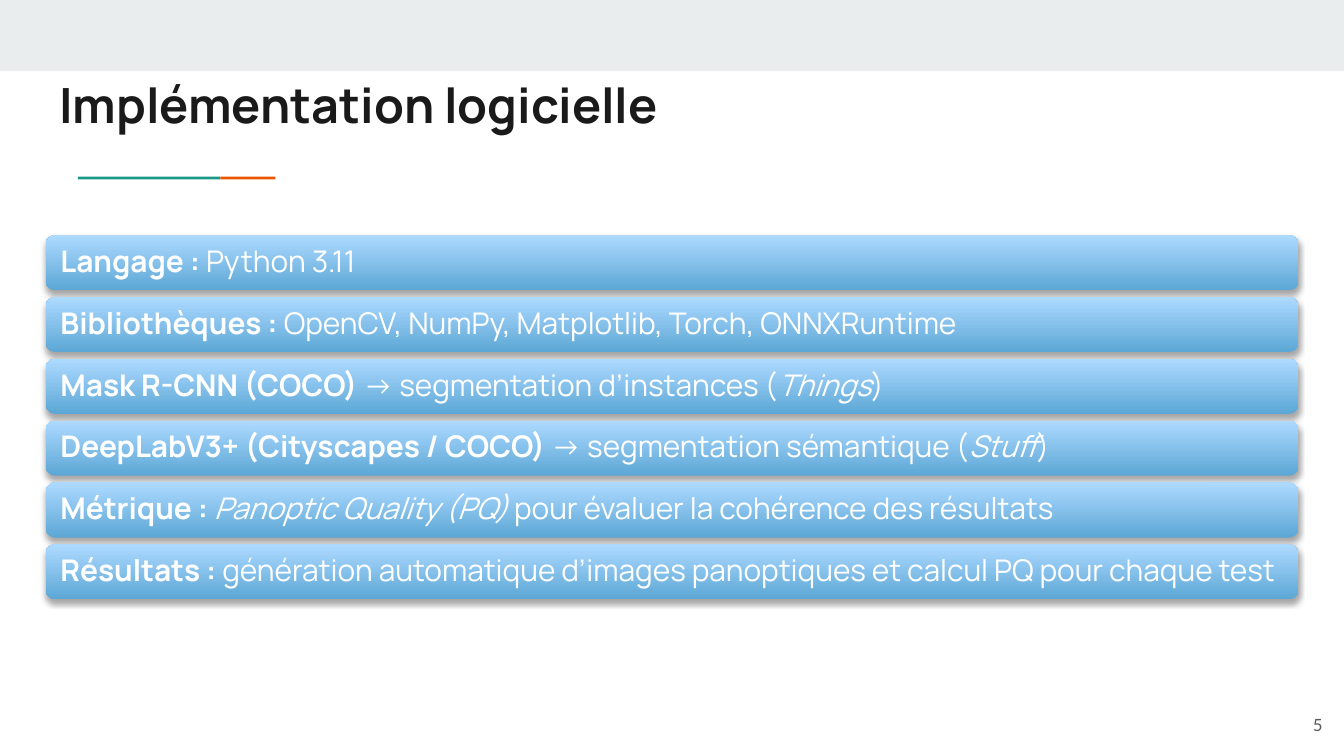
from lxml import etree
from pptx import Presentation
from pptx.dml.color import RGBColor
from pptx.enum.shapes import MSO_SHAPE as Preset
from pptx.enum.text import MSO_ANCHOR as Anchor, PP_ALIGN as Align
from pptx.oxml.ns import qn
from pptx.util import Inches, Pt

COLUMNS, ROWS = 100, 56.25
TITLE_ONLY = 5
BOLD, PLAIN, ITALIC = (True, False), (False, False), (False, True)

ENTRIES = [
    [("Langage :", BOLD), (" Python 3.11", PLAIN)],
    [("Bibliothèques : ", BOLD),
     ("OpenCV, NumPy, Matplotlib, Torch, ONNXRuntime", PLAIN)],
    [("Mask R-CNN (COCO)", BOLD), (" → segmentation d’instances (", PLAIN),
     ("Things", ITALIC), (")", PLAIN)],
    [("DeepLabV3+ (Cityscapes / COCO)", BOLD),
     (" → segmentation sémantique (", PLAIN), ("Stuff", ITALIC), (")", PLAIN)],
    [("Métrique : ", BOLD), ("Panoptic Quality (PQ)", ITALIC),
     (" pour évaluer la cohérence des résultats", PLAIN)],
    [("Résultats :", BOLD),
     (" génération automatique d’images panoptiques et calcul PQ pour chaque test", PLAIN)],
]


def color(value):
    return RGBColor.from_string(value)


class SlideBuilder:
    font_name = "Manrope"
    ink, white, gray = "1A1A1A", "FFFFFF", "595959"
    gradient = ("5CA7D6", "AEDAFF")

    def __init__(self, presentation):
        self.column = presentation.slide_width / COLUMNS
        self.row = presentation.slide_height / ROWS
        self.slide = presentation.slides.add_slide(presentation.slide_layouts[TITLE_ONLY])
        background = self.slide.background.fill
        background.solid()
        background.fore_color.rgb = color(self.white)

    def area(self, left, top, width, height):
        return (round(left * self.column), round(top * self.row),
                round(width * self.column), round(height * self.row))

    def add_text(self, shape, runs, size, text_color, inset, align=Align.LEFT, font_name=None):
        frame = shape.text_frame
        frame.word_wrap = True
        frame.vertical_anchor = Anchor.MIDDLE
        frame.margin_left = frame.margin_right = Inches(inset)
        frame.margin_top = frame.margin_bottom = Inches(inset)
        paragraph = frame.paragraphs[0]
        paragraph.alignment = align
        paragraph.line_spacing = 0.9
        for text, (bold, italic) in runs:
            run = paragraph.add_run()
            run.text = text
            font = run.font
            font.name = font_name or self.font_name
            font.size = Pt(size)
            font.bold, font.italic = bold, italic
            font.color.rgb = color(text_color)

    def title(self, text, *area):
        shape = self.slide.shapes.title
        shape.left, shape.top, shape.width, shape.height = self.area(*area)
        self.add_text(shape, [(text, BOLD)], 26, self.ink, 0.1)

    def bar(self, fill, *area):
        shape = self.slide.shapes.add_shape(Preset.RECTANGLE, *self.area(*area))
        shape.shadow.inherit = False
        shape.fill.solid()
        shape.fill.fore_color.rgb = color(fill)
        shape.line.fill.background()

    def page_number(self, text, *area):
        box = self.slide.shapes.add_textbox(*self.area(*area))
        self.add_text(box, [(text, PLAIN)], 9, self.gray, 0.1, Align.RIGHT, "Lato")

    def card(self, runs, *area):
        shape = self.slide.shapes.add_shape(Preset.ROUNDED_RECTANGLE, *self.area(*area))
        shape.line.fill.background()
        shape.fill.gradient()
        shape.fill.gradient_angle = 90
        for stop, value, position in zip(shape.fill.gradient_stops, self.gradient, (0, 1)):
            stop.color.rgb = color(value)
            stop.position = position
        self.soft_shadow(shape)
        self.add_text(shape, runs, 16, self.white, 0.09)

    def soft_shadow(self, shape):
        shape.shadow.inherit = False
        effects = shape.element.spPr.find(qn("a:effectLst"))
        shadow = etree.SubElement(effects, qn("a:outerShdw"), blurRad=str(Pt(3.1)),
                                  dist=str(Pt(1.8)), dir="5400000", rotWithShape="0")
        tint = etree.SubElement(shadow, qn("a:srgbClr"), val="000000")
        etree.SubElement(tint, qn("a:alpha"), val="35000")


def main():
    presentation = Presentation()
    presentation.slide_width, presentation.slide_height = Inches(10), Inches(5.625)
    builder = SlideBuilder(presentation)
    builder.bar("E9EDEE", 0, 0, COLUMNS, 5.3)
    builder.bar("1A9988", 5.8, 13.15, 10.6, 0.2)
    builder.bar("EB5600", 16.4, 13.15, 4.1, 0.2)
    builder.title("Implémentation logicielle", 3.4, 4.9, 93.2, 6.3)
    for index, runs in enumerate(ENTRIES):
        builder.card(runs, 3.4, 17.5 + 4.6 * index, 93.2, 4.1)
    builder.page_number("5", 93.4, 51.9, 6, 4.3)
    presentation.save("out.pptx")


if __name__ == "__main__":
    main()
